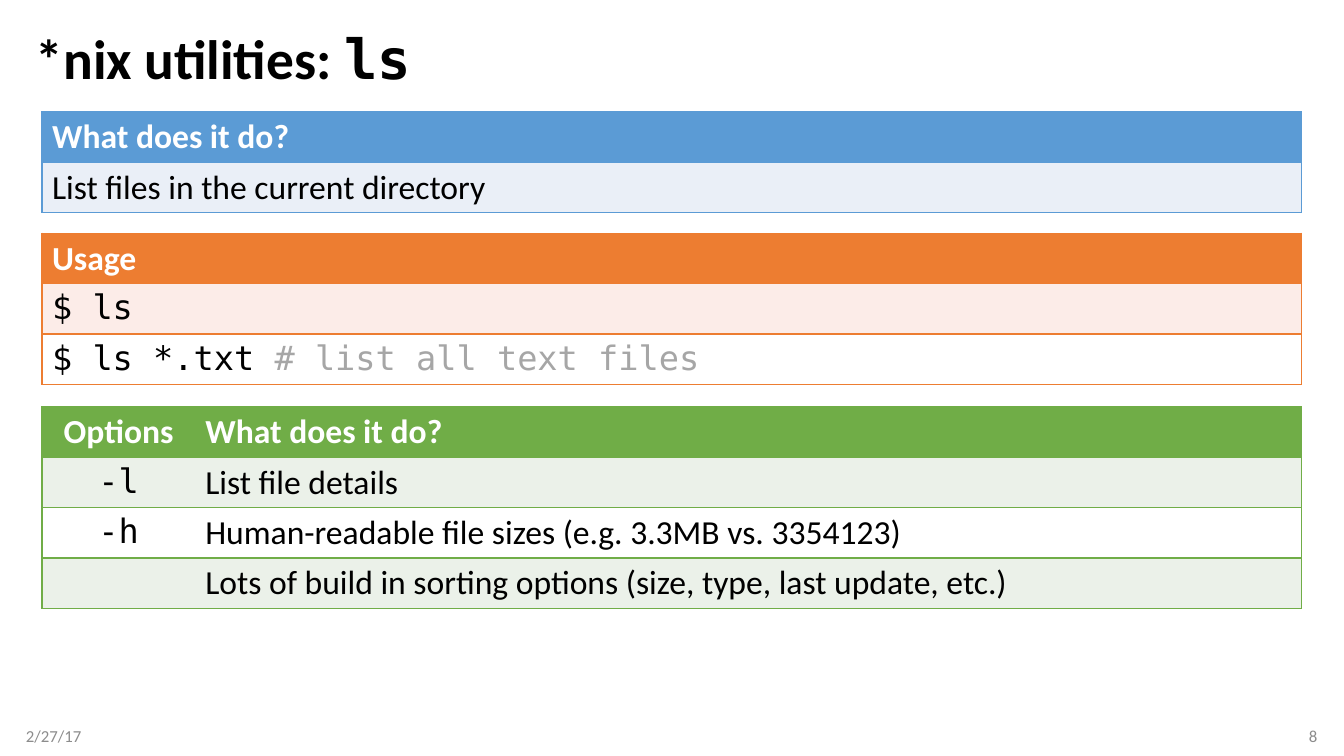
from lxml.etree import SubElement
from pptx import Presentation
from pptx.dml.color import RGBColor
from pptx.enum.text import MSO_ANCHOR as Anchor, PP_ALIGN as Align
from pptx.oxml.ns import qn
from pptx.util import Pt

BLACK = RGBColor(0x00, 0x00, 0x00)
WHITE = RGBColor(0xFF, 0xFF, 0xFF)
FOOTER_GRAY = RGBColor(0x8C, 0x8C, 0x8C)
COMMENT_GRAY = RGBColor(0xA6, 0xA6, 0xA6)
BLUE, BLUE_TINT = RGBColor(0x5B, 0x9B, 0xD5), RGBColor(0xEA, 0xEF, 0xF7)
ORANGE, ORANGE_TINT = RGBColor(0xED, 0x7D, 0x31), RGBColor(0xFC, 0xEC, 0xE8)
GREEN, GREEN_TINT = RGBColor(0x70, 0xAD, 0x47), RGBColor(0xEB, 0xF1, 0xE9)
SANS, MONO = "Calibri", "DejaVu Sans Mono"

TITLE = [("*nix utilities: ", SANS), ("ls", MONO)]
DATE, PAGE = "2/27/17", "8"

# Text after "#" in a monospaced cell is a shell comment.
TABLES = [
    dict(top=80, accent=BLUE, tint=BLUE_TINT, widths=[899.5],
         fonts=[SANS], aligns=[Align.LEFT],
         rows=[["What does it do?"],
               ["List files in the current directory"]]),
    dict(top=166.5, accent=ORANGE, tint=ORANGE_TINT, widths=[899.5],
         fonts=[MONO], aligns=[Align.LEFT],
         rows=[["Usage"],
               ["$ ls"],
               ["$ ls *.txt # list all text files"]]),
    dict(top=290.5, accent=GREEN, tint=GREEN_TINT, widths=[109.5, 790],
         fonts=[MONO, SANS], aligns=[Align.CENTER, Align.LEFT],
         rows=[["Options", "What does it do?"],
               ["-l", "List file details"],
               ["-h", "Human-readable file sizes (e.g. 3.3MB vs. 3354123)"],
               ["", "Lots of build in sorting options (size, type, last update, etc.)"]]),
]
TABLE_LEFT, ROW_HEIGHT = 30, 29.5


def add_text_box(slide, left, top, width, height):
    frame = slide.shapes.add_textbox(Pt(left), Pt(top), Pt(width), Pt(height)).text_frame
    frame.word_wrap = True
    frame.vertical_anchor = Anchor.MIDDLE
    return frame


def style(font, name, size, color, bold=False):
    font.name, font.size, font.bold = name, Pt(size), bold
    font.color.rgb = color


def add_title(slide):
    paragraph = add_text_box(slide, 18.5, 18, 922.5, 52).paragraphs[0]
    paragraph.line_spacing = 0.9
    for words, typeface in TITLE:
        run = paragraph.add_run()
        run.text = words
        style(run.font, typeface, 39.6, BLACK, bold=True)


def add_footer(slide, words, left, align):
    frame = add_text_box(slide, left, 511, 216, 29)
    if align == Align.LEFT:
        frame.margin_left = 0
    else:
        frame.margin_right = 0
    paragraph = frame.paragraphs[0]
    paragraph.text, paragraph.alignment = words, align
    style(paragraph.font, SANS, 12, FOOTER_GRAY)


def draw_borders(cell, color, visible_sides):
    """Draw the visible sides and blank the others; call before filling the cell."""
    properties = cell._tc.get_or_add_tcPr()
    for side in ("lnL", "lnR", "lnT", "lnB"):
        line = SubElement(properties, qn(f"a:{side}"), w=str(Pt(1)))
        if side in visible_sides:
            solid = SubElement(line, qn("a:solidFill"))
            SubElement(solid, qn("a:srgbClr"), val=str(color))
        else:
            SubElement(line, qn("a:noFill"))


def write_cell(cell, words, typeface, color, align, bold):
    paragraph = cell.text_frame.paragraphs[0]
    paragraph.alignment = align
    style(paragraph.font, typeface, 24, color, bold)
    command, mark, comment = words.partition("#")
    if command:
        paragraph.add_run().text = command
    if mark:
        run = paragraph.add_run()
        run.text = mark + comment
        run.font.color.rgb = COMMENT_GRAY


def add_command_table(slide, top, accent, tint, widths, fonts, aligns, rows):
    table = slide.shapes.add_table(
        len(rows), len(widths), Pt(TABLE_LEFT), Pt(top),
        Pt(sum(widths)), Pt(ROW_HEIGHT * len(rows))).table
    table.first_row = table.horz_banding = False
    for column, width in zip(table.columns, widths):
        column.width = Pt(width)
    for r, row in enumerate(rows):
        header = r == 0
        for c, words in enumerate(row):
            cell = table.cell(r, c)
            sides = {"lnT", "lnB"}
            if c == 0:
                sides.add("lnL")
            if c == len(widths) - 1:
                sides.add("lnR")
            draw_borders(cell, accent, sides)
            cell.fill.solid()
            cell.fill.fore_color.rgb = accent if header else tint if r % 2 else WHITE
            write_cell(cell, words, SANS if header else fonts[c],
                       WHITE if header else BLACK, aligns[c], header)


def main():
    deck = Presentation()
    deck.slide_width, deck.slide_height = Pt(960), Pt(540)
    slide = deck.slides.add_slide(deck.slide_layouts[6])
    add_title(slide)
    add_footer(slide, DATE, 18.5, Align.LEFT)
    add_footer(slide, PAGE, 725, Align.RIGHT)
    for content in TABLES:
        add_command_table(slide, **content)
    deck.save("out.pptx")


if __name__ == "__main__":
    main()
